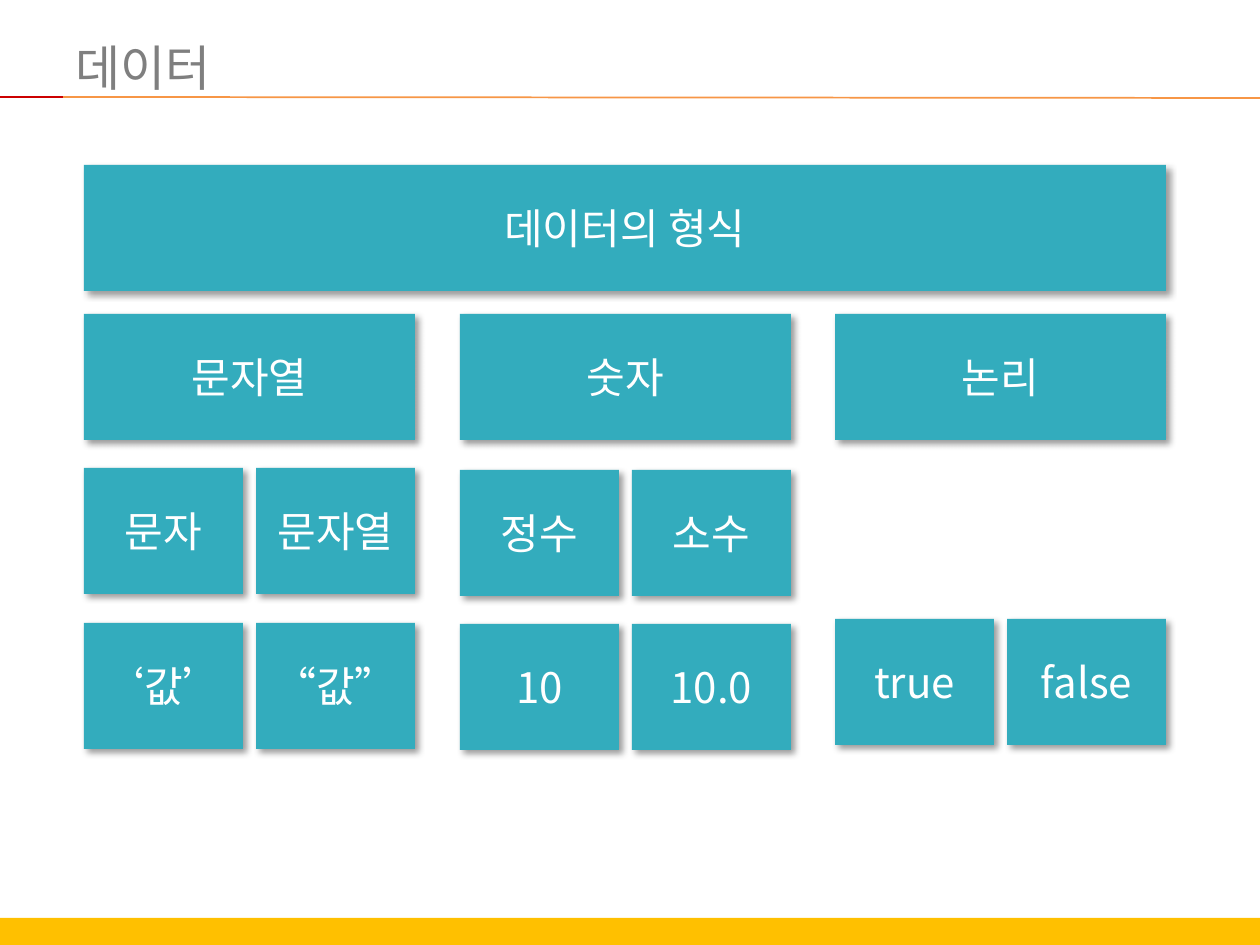
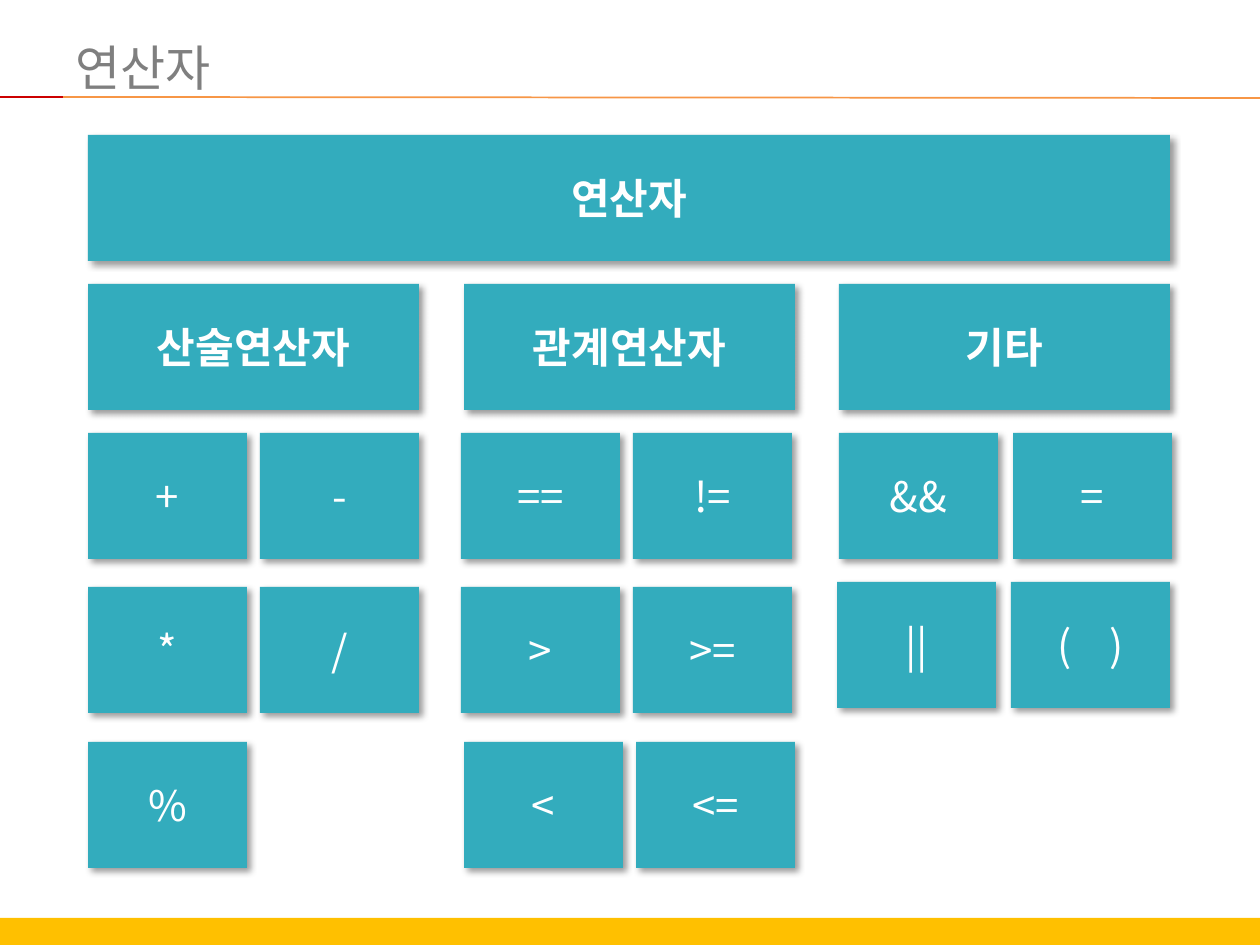
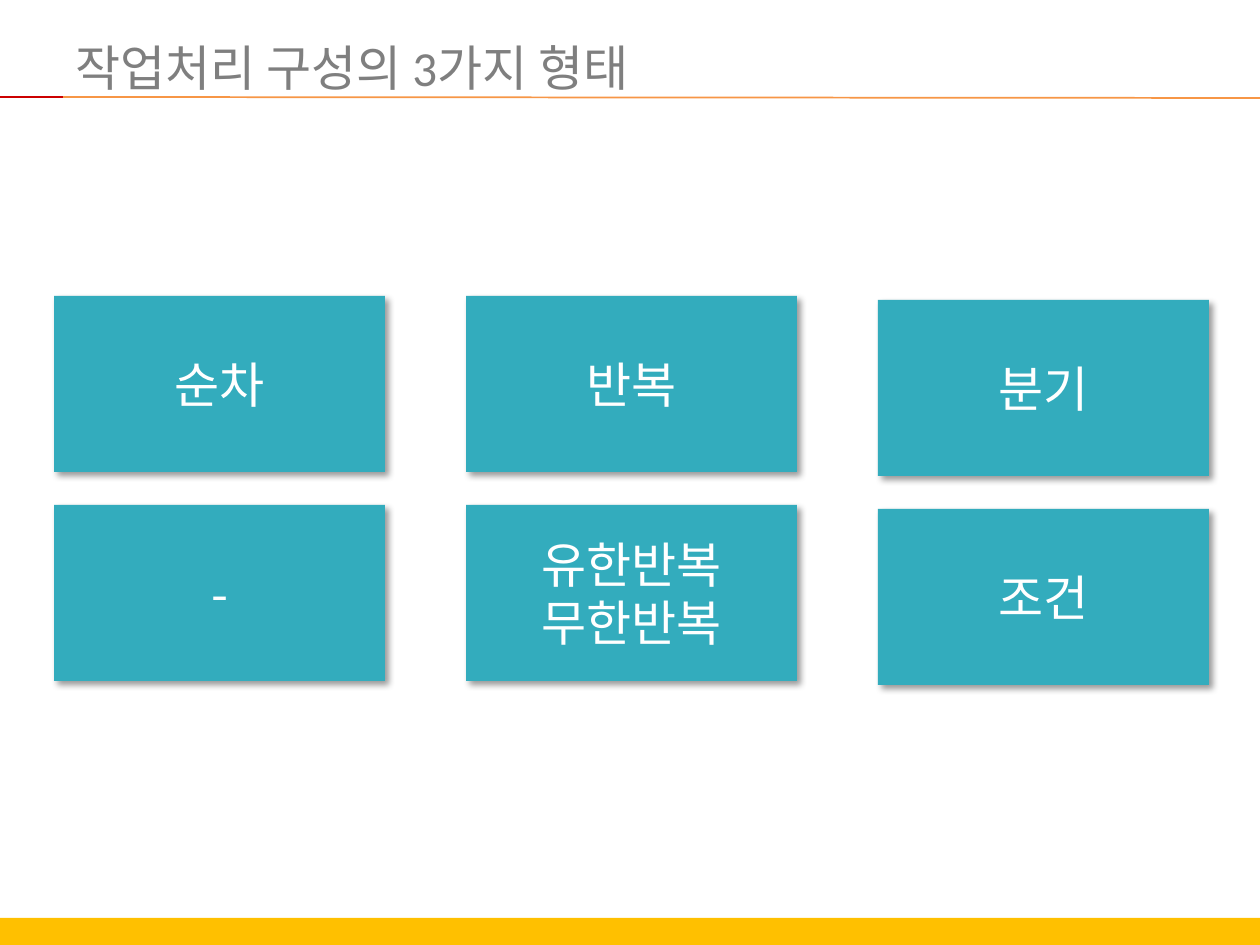
"""Builds three slides on data types, operators and control flow."""
from lxml import etree
from pptx import Presentation
from pptx.dml.color import RGBColor
from pptx.enum.shapes import MSO_CONNECTOR, MSO_SHAPE
from pptx.enum.text import MSO_ANCHOR, PP_ALIGN
from pptx.oxml.ns import qn
from pptx.util import Emu, Pt

RECTANGLE = MSO_SHAPE.RECTANGLE
STRAIGHT = MSO_CONNECTOR.STRAIGHT
MIDDLE = MSO_ANCHOR.MIDDLE
CENTER = PP_ALIGN.CENTER

PIXELS_PER_INCH = 126
SLIDE_WIDTH, SLIDE_HEIGHT = 1260, 945

TEAL, WHITE, GREY = "33ACBD", "FFFFFF", "7F7F7F"
GOLD, ORANGE, RED = "FFC000", "F79646", "CC0000"
SHADOW_COLOR = "000000"
TITLE_FONT, BODY_FONT = "Calibri", "Noto Sans CJK JP"

BLOCK_HEIGHT = 126
COLUMN_OFFSETS = (0, 376, 751)
COLUMN_WIDTH = 331
BANNER_WIDTH = COLUMN_OFFSETS[-1] + COLUMN_WIDTH
HEADING_DROP = 149
CELL_WIDTH, CELL_PITCH = 159, 172


def px(pixels):
    """Turn pixels into EMU."""
    return Emu(round(pixels * 914400 / PIXELS_PER_INCH))


def color(hex_string):
    """Turn a hex string into a colour."""
    return RGBColor.from_string(hex_string)


def add_run(paragraph, text, size, font, hex_color, bold=False, spacing=0):
    """Add one run; spacing widens its letters by that many points."""
    run = paragraph.add_run()
    run.text = text
    run.font.size = Pt(size)
    run.font.name = font
    run.font.bold = bold
    run.font.color.rgb = color(hex_color)
    properties = run.font._element
    if spacing:
        properties.set("spc", str(spacing * 100))
    latin = properties.find(qn("a:latin"))
    east_asian = etree.Element(qn("a:ea"), typeface=BODY_FONT)
    latin.addnext(east_asian)


def add_rectangle(slide, left, top, width, height, fill):
    """Add a flat filled rectangle without outline."""
    shape = slide.shapes.add_shape(
        RECTANGLE, px(left), px(top), px(width), px(height))
    shape.shadow.inherit = False
    shape.fill.solid()
    shape.fill.fore_color.rgb = color(fill)
    shape.line.fill.background()
    return shape


def add_drop_shadow(shape):
    """Give a shape a soft shadow to the lower right."""
    effects = shape._element.spPr.find(qn("a:effectLst"))
    shadow = etree.SubElement(
        effects, qn("a:outerShdw"), blurRad=str(Pt(4)), dist=str(Pt(3)),
        dir="2700000", algn="tl", rotWithShape="0")
    shade = etree.SubElement(shadow, qn("a:srgbClr"), val=SHADOW_COLOR)
    etree.SubElement(shade, qn("a:alpha"), val="40000")


def add_block(slide, left, top, width, lines, height=BLOCK_HEIGHT,
              size=24, bold=False):
    """Add a teal block; each line is a list of (text, spacing) runs or text."""
    shape = add_rectangle(slide, left, top, width, height, TEAL)
    add_drop_shadow(shape)
    frame = shape.text_frame
    frame.word_wrap = True
    frame.vertical_anchor = MIDDLE
    for index, line in enumerate(lines):
        paragraph = frame.add_paragraph() if index else frame.paragraphs[0]
        paragraph.alignment = CENTER
        runs = [(line, 0)] if isinstance(line, str) else line
        for text, spacing in runs:
            add_run(paragraph, text, size, BODY_FONT, WHITE, bold, spacing)


def add_line(slide, start, end, hex_color):
    """Add a one-point line between two points."""
    line = slide.shapes.add_connector(
        STRAIGHT, px(start[0]), px(start[1]), px(end[0]), px(end[1]))
    line.line.color.rgb = color(hex_color)
    line.line.width = Pt(1)
    etree.SubElement(line._element.spPr, qn("a:effectLst"))


def add_slide(presentation, title):
    """Add a slide with the shared footer band, title rule and title."""
    slide = presentation.slides.add_slide(presentation.slide_layouts[6])
    add_rectangle(slide, 0, 918, SLIDE_WIDTH, 27, GOLD)
    add_line(slide, (63, 97), (SLIDE_WIDTH, 98), ORANGE)
    add_line(slide, (0, 97), (63, 97), RED)
    box = slide.shapes.add_textbox(px(63), px(38), px(1197), px(58))
    frame = box.text_frame
    frame.word_wrap = True
    frame.vertical_anchor = MIDDLE
    add_run(frame.paragraphs[0], title, 28, TITLE_FONT, GREY)
    return slide


def add_headings(slide, left, top, banner, headings, bold=False):
    """Add a full-width banner with three column headings below it."""
    add_block(slide, left, top, BANNER_WIDTH, [banner], bold=bold)
    for offset, heading in zip(COLUMN_OFFSETS, headings):
        add_block(slide, left + offset, top + HEADING_DROP, COLUMN_WIDTH,
                  [heading], bold=bold)


def add_cells(slide, left, top, texts, pitch=CELL_PITCH):
    """Add a row of half-column cells."""
    for index, text in enumerate(texts):
        add_block(slide, left + index * pitch, top, CELL_WIDTH, [text])


def build_data_slide(presentation):
    """Data types with sample values."""
    slide = add_slide(presentation, "데이터")
    left = 84
    add_headings(slide, left, 165, "데이터의 형식", ("문자열", "숫자", "논리"))
    text_left, number_left, logic_left = (left + x for x in COLUMN_OFFSETS)
    add_cells(slide, number_left, 470, ("정수", "소수"))
    add_cells(slide, text_left, 468, ("문자", "문자열"))
    add_cells(slide, number_left, 624, ("10", "10.0"))
    add_cells(slide, text_left, 623, ("‘값’", "“값”"))
    add_cells(slide, logic_left, 619, ("true", "false"))


def build_operator_slide(presentation):
    """Arithmetic, relational and other operators."""
    slide = add_slide(presentation, "연산자")
    left = 88
    add_headings(slide, left, 135, "연산자",
                 ("산술연산자", "관계연산자", "기타"), bold=True)
    arithmetic, relational, other = (left + x for x in COLUMN_OFFSETS)
    parentheses = [("( ", 8), (")", 0)]
    add_cells(slide, relational - 3, 433, ("==", "!="))
    add_cells(slide, arithmetic, 433, ("+", "-"))
    add_cells(slide, relational - 3, 587, (">", ">="))
    add_cells(slide, arithmetic, 587, ("*", "/"))
    add_cells(slide, other, 433, ("&&", "="), pitch=174)
    add_cells(slide, other - 2, 582, ("||", parentheses), pitch=174)
    add_cells(slide, arithmetic, 742, ("%",))
    add_cells(slide, relational, 742, ("<", "<="))


def build_flow_slide(presentation):
    """Three forms of control flow."""
    slide = add_slide(presentation, "작업처리 구성의 3가지 형태")
    columns = (
        (296, ["순차"], ["-"]),
        (296, ["반복"], ["유한반복", "무한반복"]),
        (300, ["분기"], ["조건"]),
    )
    for index, (top, *blocks) in enumerate(columns):
        for row, lines in enumerate(blocks):
            add_block(slide, 54 + index * 412, top + row * 209, COLUMN_WIDTH,
                      lines, height=176, size=28)


def main():
    """Build and save the presentation."""
    presentation = Presentation()
    presentation.slide_width = px(SLIDE_WIDTH)
    presentation.slide_height = px(SLIDE_HEIGHT)
    build_data_slide(presentation)
    build_operator_slide(presentation)
    build_flow_slide(presentation)
    presentation.save("out.pptx")


main()
